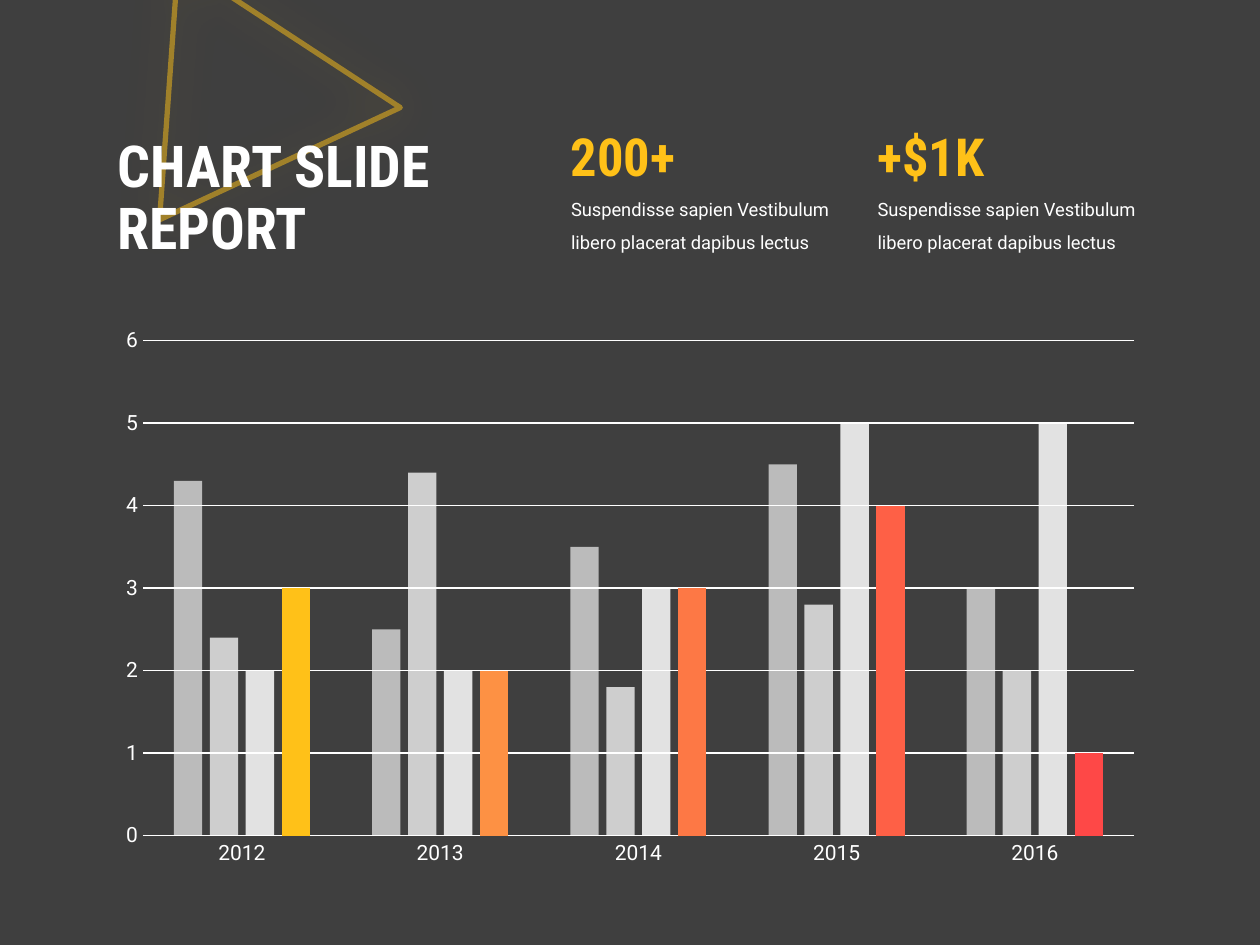
from dataclasses import dataclass

from lxml.etree import SubElement
from pptx import Presentation
from pptx.chart.data import CategoryChartData
from pptx.dml.color import RGBColor
from pptx.enum.chart import XL_CHART_TYPE as ChartType, XL_TICK_MARK as TickMark
from pptx.enum.shapes import MSO_SHAPE as ShapeType
from pptx.enum.text import MSO_ANCHOR as Anchor, MSO_AUTO_SIZE as AutoSize
from pptx.oxml.ns import qn
from pptx.util import Inches, Pt


@dataclass(frozen=True)
class Theme:
    background: str = "3F3F3F"
    text: str = "FFFFFF"
    accent: str = "FFC118"
    point_colors: tuple[str, ...] = ("FD9144", "FD7845", "FE6046", "FE4847")
    heading_font: str = "Roboto Condensed"
    body_font: str = "Roboto"
    title_size: float = 33
    figure_size: float = 30
    axis_size: float = 12
    caption_size: float = 10.5
    chart_size: float = 10


@dataclass(frozen=True)
class Area:
    column: float
    row: float
    columns: float
    rows: float

    def box(self) -> tuple[int, int, int, int]:
        """Convert grid cells to left, top, width and height."""
        return tuple(int(cells * CELL) for cells in (self.column, self.row, self.columns, self.rows))


@dataclass(frozen=True)
class Stat:
    column: float
    figure: str
    caption: str


@dataclass(frozen=True)
class Series:
    name: str
    values: tuple[float, ...]
    opacity: int = 100


THEME = Theme()
WIDTH, HEIGHT = Inches(10), Inches(7.5)
CELL = WIDTH / 12
CAPTION = "Suspendisse sapien Vestibulum libero placerat dapibus lectus"
STATS = (Stat(5.32, "200+", CAPTION), Stat(8.24, "+$1K", CAPTION))
YEARS = ("2012", "2013", "2014", "2015", "2016")
SERIES = (
    Series("Series 1", (4.3, 2.5, 3.5, 4.5, 3), 65),
    Series("Series 2", (2.4, 4.4, 1.8, 2.8, 2), 75),
    Series("Series 3", (2, 2, 3, 5, 5), 85),
    Series("Series 4", (3, 2, 3, 4, 1)),
)


def set_color(fill, color: str, opacity: int = 100) -> None:
    """Make a fill solid, with an optional opacity in percent."""
    fill.solid()
    fill.fore_color.rgb = RGBColor.from_string(color)
    if opacity < 100:
        element = fill._xPr.find(".//" + qn("a:srgbClr"))
        SubElement(element, qn("a:alpha"), val=str(opacity * 1000))


def set_font(font, name: str, size: float, color: str, bold: bool = False) -> None:
    """Apply a typeface, size, colour and weight."""
    font.name, font.size, font.bold = name, Pt(size), bold
    font.color.rgb = RGBColor.from_string(color)


def set_line(line, color: str, width: float, opacity: int = 100) -> None:
    """Apply a solid line."""
    set_color(line.fill, color, opacity)
    line.width = Pt(width)


def add_text(slide, area: Area, text: str, name: str, size: float, color: str,
             bold: bool = False, spacing: float = 1, anchor=Anchor.TOP,
             auto_size=AutoSize.SHAPE_TO_FIT_TEXT) -> None:
    """Add a wrapped text box with one paragraph."""
    frame = slide.shapes.add_textbox(*area.box()).text_frame
    frame.word_wrap, frame.auto_size, frame.vertical_anchor = True, auto_size, anchor
    paragraph = frame.paragraphs[0]
    paragraph.text = text
    paragraph.line_spacing = spacing
    set_font(paragraph.font, name, size, color, bold)


def add_triangle(slide) -> None:
    """Add the tilted outline triangle with its soft glow."""
    shape = slide.shapes.add_shape(ShapeType.ISOSCELES_TRIANGLE, *Area(1.48, -0.16, 2.46, 2.21).box())
    shape.rotation = 94.1
    shape.shadow.inherit = False
    shape.fill.background()
    set_line(shape.line, THEME.accent, 3, 50)
    effects = shape._element.spPr.find(qn("a:effectLst"))
    shadow = SubElement(effects, qn("a:outerShdw"), blurRad=str(Pt(25)), dist="0", dir="0",
                        algn="ctr", rotWithShape="0")
    color = SubElement(shadow, qn("a:srgbClr"), val=THEME.accent)
    SubElement(color, qn("a:alpha"), val="35000")


def add_stat(slide, stat: Stat) -> None:
    """Add a caption and the large figure above it."""
    add_text(slide, Area(stat.column, 1.72, 2.96, 0.72), stat.caption,
             THEME.body_font, THEME.caption_size, THEME.text, spacing=1.5)
    add_text(slide, Area(stat.column, 1.12, 1.61, 0.73), stat.figure,
             THEME.heading_font, THEME.figure_size, THEME.accent, bold=True)


def style_axis(axis) -> None:
    """Remove tick marks and style the axis labels."""
    axis.major_tick_mark = axis.minor_tick_mark = TickMark.NONE
    set_font(axis.tick_labels.font, THEME.body_font, THEME.axis_size, THEME.text)


def add_report_chart(slide) -> None:
    """Add the clustered columns by year."""
    data = CategoryChartData()
    data.categories = YEARS
    for series in SERIES:
        data.add_series(series.name, series.values)
    chart = slide.shapes.add_chart(ChartType.COLUMN_CLUSTERED, *Area(1, 3.02, 10, 5.33).box(), data).chart
    chart.has_legend = chart.has_title = False
    set_font(chart.font, THEME.body_font, THEME.chart_size, THEME.text)
    years, values = chart.category_axis, chart.value_axis
    style_axis(years)
    style_axis(values)
    set_line(years.format.line, THEME.text, 0.75)
    values.format.line.fill.background()
    values.minimum_scale, values.maximum_scale, values.major_unit = 0, 6, 1
    set_line(values.major_gridlines.format.line, THEME.text, 0.75)
    plot = chart.plots[0]
    plot.gap_width, plot.overlap, plot.vary_by_categories = 219, -27, False
    for drawn, series in zip(plot.series, SERIES):
        drawn.invert_if_negative = False
        set_color(drawn.format.fill, THEME.text if series.opacity < 100 else THEME.accent, series.opacity)
    for index, color in enumerate(THEME.point_colors, start=1):
        set_color(plot.series[-1].points[index].format.fill, color)


def main() -> None:
    """Build and save the chart report slide."""
    presentation = Presentation()
    presentation.slide_width, presentation.slide_height = WIDTH, HEIGHT
    slide = presentation.slides.add_slide(presentation.slide_layouts[6])
    set_color(slide.background.fill, THEME.background)
    add_triangle(slide)
    add_text(slide, Area(1, 0.95, 5.06, 1.9), "CHART SLIDE\vREPORT", THEME.heading_font,
             THEME.title_size, THEME.text, bold=True, spacing=0.9,
             anchor=Anchor.MIDDLE, auto_size=AutoSize.NONE)
    add_report_chart(slide)
    for stat in STATS:
        add_stat(slide, stat)
    presentation.save("out.pptx")


if __name__ == "__main__":
    main()
